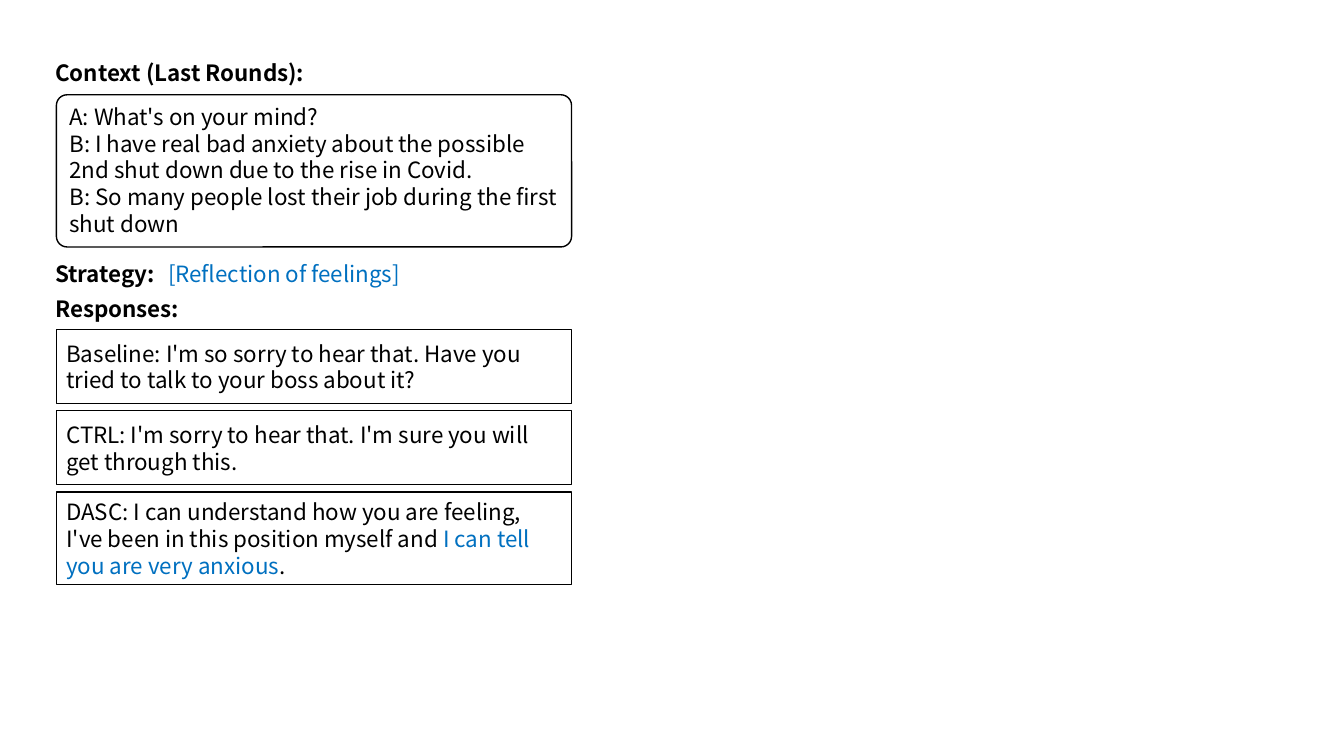
from dataclasses import dataclass

import pptx
import pptx.dml.color
import pptx.enum.shapes
import pptx.enum.text
import pptx.util

Pt = pptx.util.Pt
RGBColor = pptx.dml.color.RGBColor
Shapes = pptx.enum.shapes.MSO_SHAPE
Anchor = pptx.enum.text.MSO_ANCHOR


@dataclass(frozen=True)
class Theme:
    font: str = "Noto Sans CJK SC"
    size: float = 16
    line_height: float = 19.2
    border: float = 1
    text: RGBColor = RGBColor(0, 0, 0)
    accent: RGBColor = RGBColor(0x00, 0x70, 0xC0)
    paper: RGBColor = RGBColor(0xFF, 0xFF, 0xFF)


THEME = Theme()

LABEL_LEFT, LABEL_HEIGHT = 32.4, 26.6
BOX_LEFT, BOX_WIDTH = 40.3, 368
RESPONSE_TOP, RESPONSE_STEP = 235.4, 58

CONTEXT = [
    "A: What's on your mind?",
    "B: I have real bad anxiety about the possible 2nd shut down due to the rise in Covid.",
    "B: So many people lost their job during the first shut down",
]

# Each response: box height and its runs of (text, colour)
RESPONSES = [
    (52.8, [("Baseline: I'm so sorry to hear that. Have you tried to talk to "
             "your boss about it?", THEME.text)]),
    (52.8, [("CTRL: I'm sorry to hear that. I'm sure you will get through this.",
             THEME.text)]),
    (66.2, [("DASC: I can understand how you are feeling, I've been in this "
             "position myself and ", THEME.text),
            ("I can tell you are very anxious", THEME.accent),
            (".", THEME.text)]),
]


def write_paragraphs(text_frame, paragraphs, bold=False):
    """Fill the frame; each paragraph is a list of (text, colour) runs."""
    text_frame.word_wrap = True
    for index, runs in enumerate(paragraphs):
        paragraph = text_frame.paragraphs[0] if index == 0 else text_frame.add_paragraph()
        paragraph.alignment = pptx.enum.text.PP_ALIGN.LEFT
        paragraph.line_spacing = Pt(THEME.line_height)
        for text, colour in runs:
            run = paragraph.add_run()
            run.text = text
            font_format = {"name": THEME.font, "size": Pt(THEME.size), "bold": bold}
            for attribute, value in font_format.items():
                setattr(run.font, attribute, value)
            run.font.color.rgb = colour


def add_label(slide, text, top, left=LABEL_LEFT, width=234, colour=THEME.text, bold=True):
    label = slide.shapes.add_textbox(Pt(left), Pt(top), Pt(width), Pt(LABEL_HEIGHT))
    write_paragraphs(label.text_frame, [[(text, colour)]], bold)
    label.text_frame.auto_size = pptx.enum.text.MSO_AUTO_SIZE.SHAPE_TO_FIT_TEXT


def add_box(slide, preset, top, height, paragraphs, anchor):
    box = slide.shapes.add_shape(preset, Pt(BOX_LEFT), Pt(top), Pt(BOX_WIDTH), Pt(height))
    box.shadow.inherit = False
    box.fill.solid()
    box.fill.fore_color.rgb = THEME.paper
    box.line.color.rgb = THEME.text
    box.line.width = Pt(THEME.border)
    box.text_frame.vertical_anchor = anchor
    write_paragraphs(box.text_frame, paragraphs)
    return box


def main():
    presentation = pptx.Presentation()
    presentation.slide_width = Pt(960)
    presentation.slide_height = Pt(540)
    blank_layout = presentation.slide_layouts.get_by_name("Blank")
    slide = presentation.slides.add_slide(blank_layout)

    add_label(slide, "Context (Last Rounds):", 38.9)
    context_box = add_box(slide, Shapes.ROUNDED_RECTANGLE, 67.7, 108.7,
                          [[(line, THEME.text)] for line in CONTEXT], Anchor.TOP)
    context_box.adjustments[0] = 0.07

    add_label(slide, "Strategy:", 182.2)
    add_label(slide, "[Reflection of feelings]", 182.2, left=113, width=270,
              colour=THEME.accent, bold=False)

    add_label(slide, "Responses:", 207.4)
    for index, (height, runs) in enumerate(RESPONSES):
        add_box(slide, Shapes.RECTANGLE, RESPONSE_TOP + index * RESPONSE_STEP,
                height, [runs], Anchor.MIDDLE)

    presentation.save("out.pptx")


if __name__ == "__main__":
    main()
